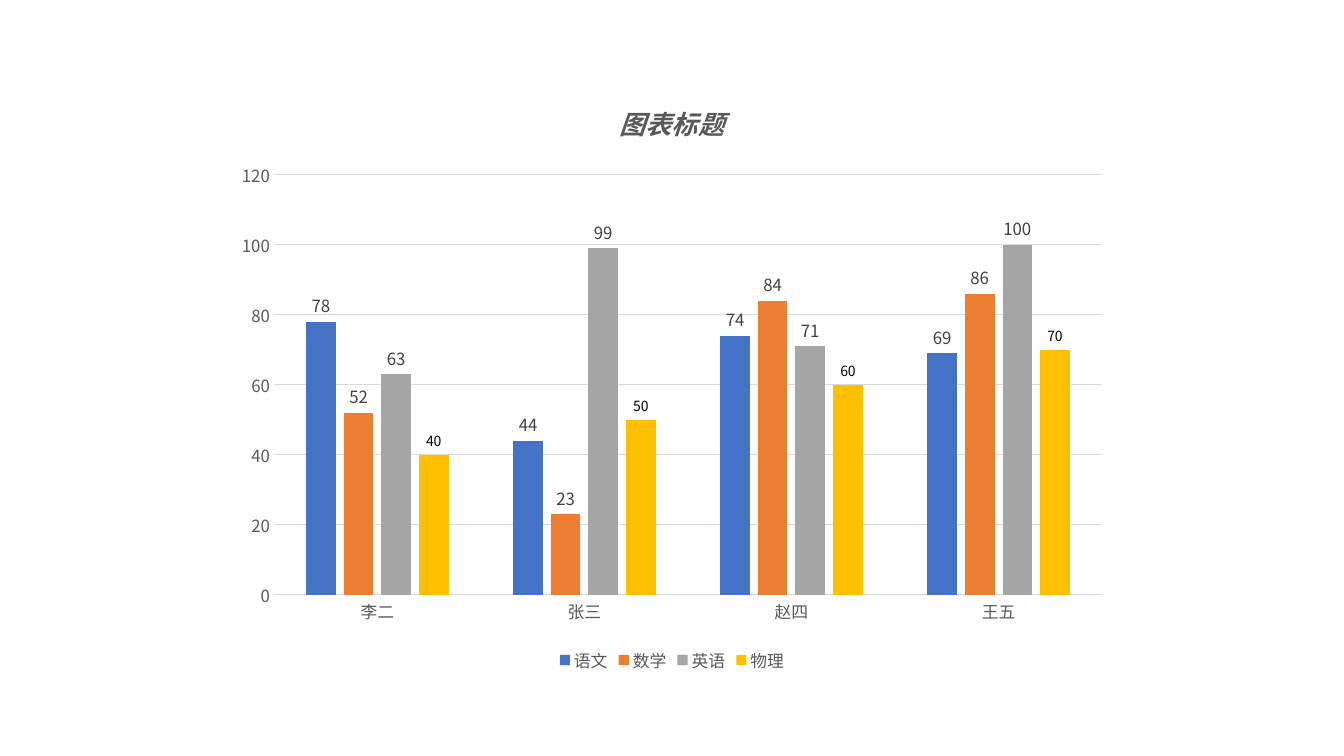
from lxml import etree
from pptx import Presentation
from pptx import util as u
from pptx.chart.data import CategoryChartData
from pptx.dml.color import RGBColor
from pptx.enum import chart as ch
from pptx.oxml.ns import qn

FONT = "Noto Sans CJK SC"
GREY, RULE = "595959", "D9D9D9"
TITLE = "图表标题"
STUDENTS = ["李二", "张三", "赵四", "王五"]
# subject, scores, bar colour, label size, label colour
SUBJECTS = [
    ("语文", (78, 44, 74, 69), "4472C4", 12, "404040"),
    ("数学", (52, 23, 84, 86), "ED7D31", 12, "404040"),
    ("英语", (63, 99, 71, 100), "A5A5A5", 12, "404040"),
    ("物理", (40, 50, 60, 70), "FFC000", 10, "000000"),
]


def rgb(hex_colour):
    """Turn a hex string into a colour."""
    return RGBColor.from_string(hex_colour)


def style_font(font, size, colour, bold=False, italic=False):
    """Set face, size, colour and style of a font."""
    font.name, font.size = FONT, u.Pt(size)
    font.bold, font.italic = bold, italic
    font.color.rgb = rgb(colour)


def style_rule(line):
    """Draw a thin light grey line."""
    line.color.rgb = rgb(RULE)
    line.width = u.Pt(0.75)


def style_axis(axis):
    """Format the parts both axes share."""
    axis.major_tick_mark = axis.minor_tick_mark = ch.XL_TICK_MARK.NONE
    style_font(axis.tick_labels.font, 12, GREY)


def style_subject(series, colour, label_size, label_colour):
    """Fill a subject's bars and show its scores above them."""
    series.format.fill.solid()
    series.format.fill.fore_color.rgb = rgb(colour)
    series.invert_if_negative = False
    labels = series.data_labels
    labels.show_value = True
    labels.position = ch.XL_LABEL_POSITION.OUTSIDE_END
    style_font(labels.font, label_size, label_colour)


prs = Presentation()
prs.slide_width, prs.slide_height = u.Cm(33.87), u.Cm(19.05)
slide = prs.slides.add_slide(prs.slide_layouts[6])

scores = CategoryChartData()
scores.categories = STUDENTS
for subject, marks, *_ in SUBJECTS:
    scores.add_series(subject, marks)

width, height = u.Cm(22.58), u.Cm(15.05)
chart = slide.shapes.add_chart(
    ch.XL_CHART_TYPE.COLUMN_CLUSTERED,
    (prs.slide_width - width) // 2, (prs.slide_height - height) // 2,
    width, height, scores).chart
style_font(chart.font, 10, "000000")

chart.has_title = True
heading = chart.chart_title.text_frame.paragraphs[0]
heading.text = TITLE
style_font(heading.font, 18.6, GREY, bold=True, italic=True)
chart.chart_title.include_in_layout = False

chart.has_legend = True
chart.legend.position = ch.XL_LEGEND_POSITION.BOTTOM
chart.legend.include_in_layout = False
style_font(chart.legend.font, 12, GREY)

students, marks_axis = chart.category_axis, chart.value_axis
style_axis(students)
style_axis(marks_axis)
style_rule(students.format.line)
marks_axis.format.line.fill.background()
marks_axis.minimum_scale, marks_axis.maximum_scale = 0, 120
marks_axis.major_unit = 20
style_rule(marks_axis.major_gridlines.format.line)

plot = chart.plots[0]
plot.gap_width, plot.overlap = 219, -27
plot.vary_by_categories = False
for series, (_, _, *look) in zip(plot.series, SUBJECTS):
    style_subject(series, *look)

# Chinese characters take the East Asian face, so name it beside the Latin one
for latin in list(chart.element.iter(qn("a:latin")) if hasattr(chart, "element")
                  else chart._chartSpace.iter(qn("a:latin"))):
    east_asian = etree.Element(qn("a:ea"), typeface=FONT)
    latin.addnext(east_asian)

prs.save("out.pptx")
